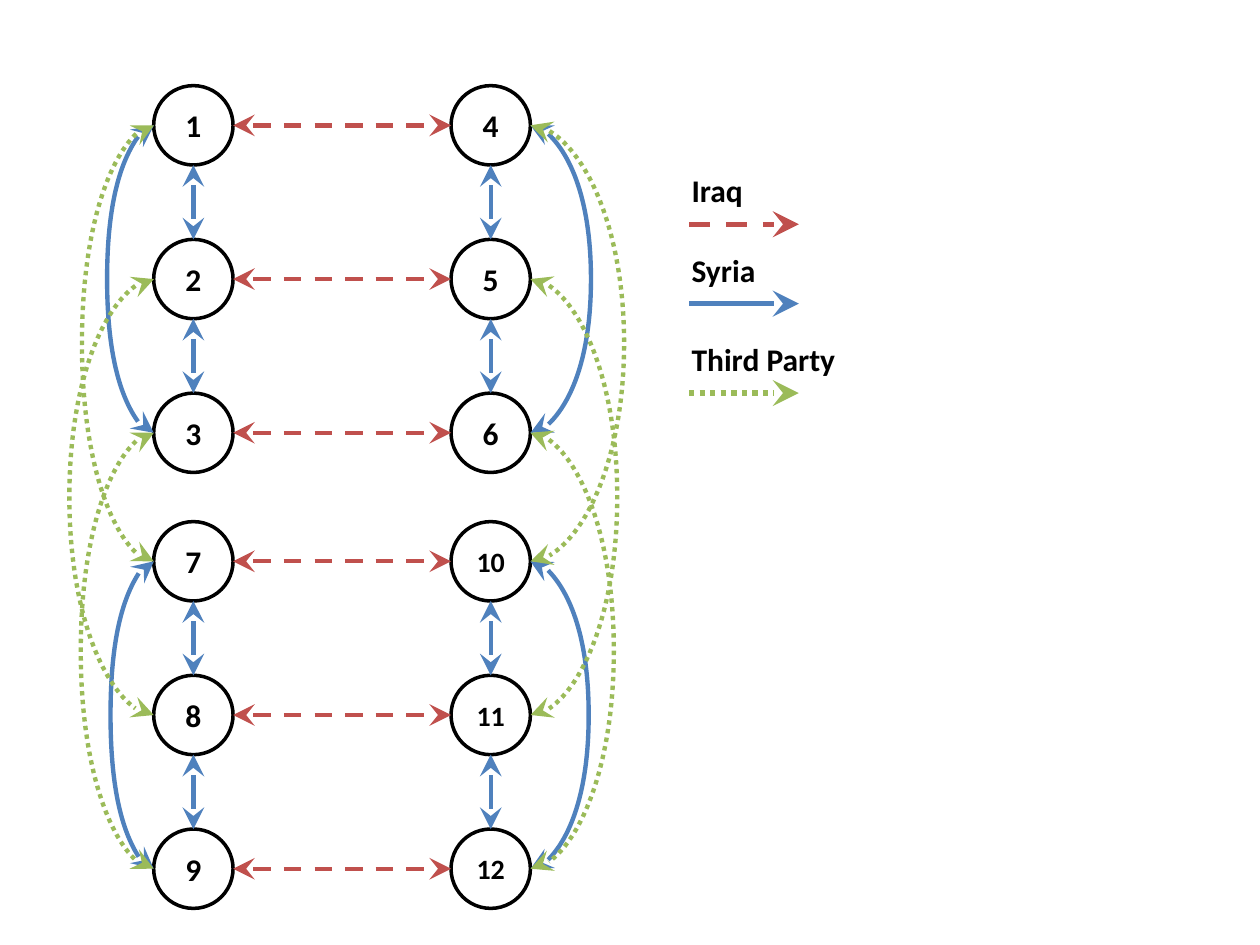
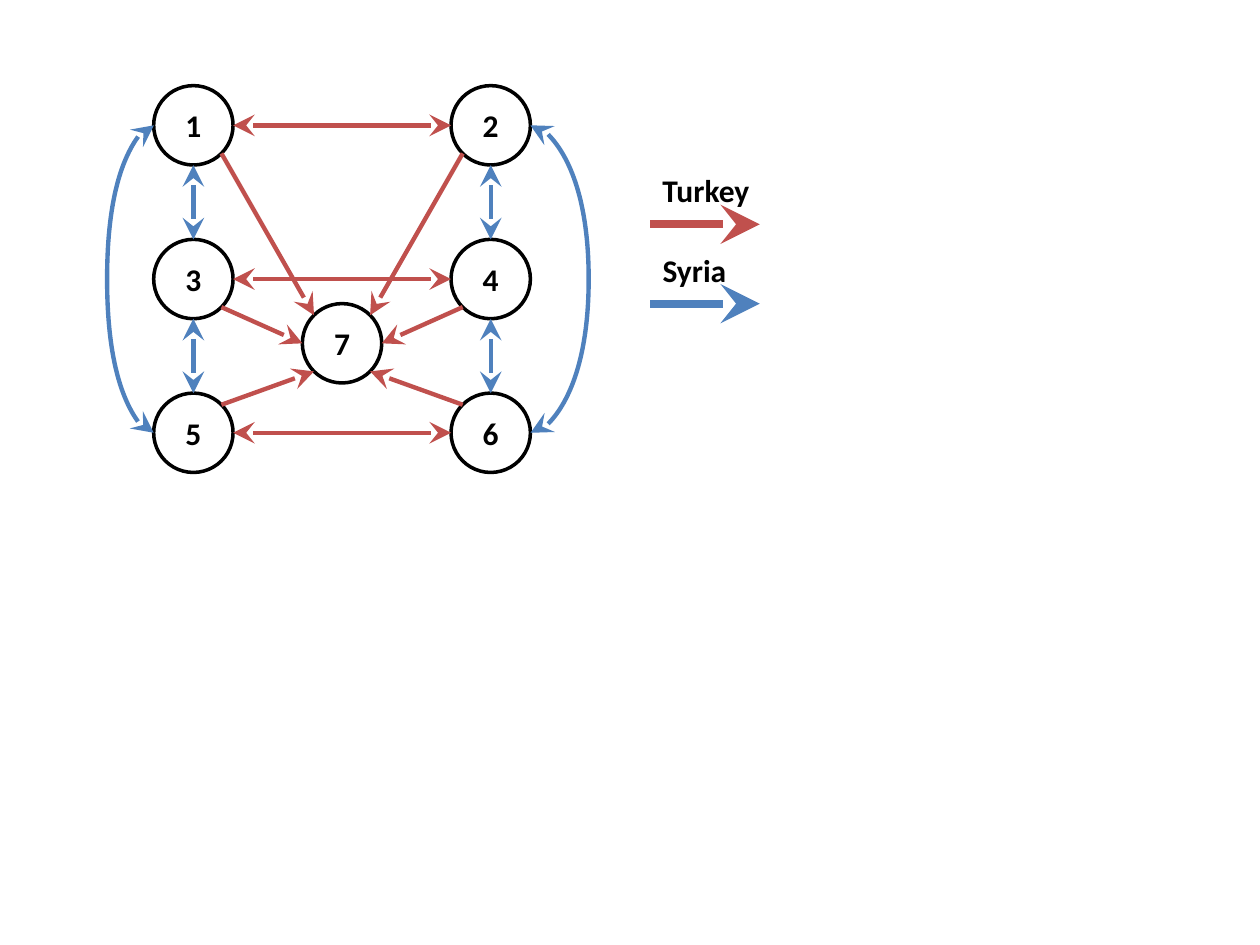
from lxml import etree
from pptx import Presentation
from pptx import util as u
from pptx.dml.color import RGBColor
from pptx.enum import dml, shapes, text
from pptx.oxml.ns import qn

BLACK, WHITE = "000000", "FFFFFF"
RED, BLUE, GREEN = "C0504D", "4F81BD", "9BBB59"
DASH, DOT = dml.MSO_LINE.DASH, dml.MSO_LINE.ROUND_DOT
STRAIGHT, CURVE = shapes.MSO_CONNECTOR.STRAIGHT, shapes.MSO_CONNECTOR.CURVE


def ink(code):
    return RGBColor.from_string(code)


def write(frame, words, size=18, color=BLACK, bold=True, align=None, anchor=None, wrap=True):
    frame.word_wrap = wrap
    frame.vertical_anchor = anchor
    paragraph = frame.paragraphs[0]
    paragraph.alignment = align
    run = paragraph.add_run()
    run.text = words
    run.font.name = "Calibri"
    run.font.size = u.Pt(size)
    run.font.bold = bold
    run.font.color.rgb = ink(color)


deck = Presentation()
deck.slide_width, deck.slide_height = u.Inches(10), u.Inches(7.5)
blank = deck.slide_layouts[6]

columns = [1.535, 3.895]
first_row, row_step, block_step = 0.995, 1.22, 3.46
node = 0.63
radius = node / 2
corner = radius * 0.5 ** 0.5
sides = [(columns[0] - radius, -1), (columns[1] + radius, 1)]
hair = u.Pt(0.125)

diagrams = [
    {
        "blocks": [[["1", "2", "3"], ["4", "5", "6"]], [["7", "8", "9"], ["10", "11", "12"]]],
        "block_bulges": [(0.41, 0.53), (0.38, 0.51)],
        "cross_bulges": [(0.63, 0.82), (0.74, 0.76), (0.64, 0.73)],
        "cross_dash": DASH,
        "hub": None,
        "key": [("Iraq", 0.61, 1.31, RED, DASH), ("Syria", 0.71, 1.94, BLUE, None),
                ("Third Party", 1.35, 2.65, GREEN, DOT)],
        "key_left": 5.39, "key_line": 5.47, "key_weight": 3,
    },
    {
        "blocks": [[["1", "3", "5"], ["2", "4", "6"]]],
        "block_bulges": [(0.41, 0.51)],
        "cross_bulges": [],
        "cross_dash": None,
        "hub": "7",
        "key": [("Turkey", 0.9, 1.31, RED, None), ("Syria", 0.71, 1.94, BLUE, None)],
        "key_left": 5.16, "key_line": 5.16, "key_weight": 4.5,
    },
]

for diagram in diagrams:
    slide = deck.slides.add_slide(blank)
    members, links = [], []

    for block, groups in enumerate(diagram["blocks"]):
        ys = [first_row + block * block_step + row * row_step for row in range(3)]
        for x, labels in zip(columns, groups):
            members += [(label, x, y) for label, y in zip(labels, ys)]
            for upper, lower in zip(ys, ys[1:]):
                links.append((x, upper + radius, x, lower - radius, 0, BLUE, None, 2.5, "both"))
        for (x, way), bulge in zip(sides, diagram["block_bulges"][block]):
            links.append((x, ys[0], x, ys[2], way * bulge, BLUE, None, 2.5, "both"))
        for y in ys:
            links.append((columns[0] + radius, y, columns[1] - radius, y, 0,
                          RED, diagram["cross_dash"], 2.5, "both"))

    for row, bulges in enumerate(diagram["cross_bulges"]):
        y = first_row + row * row_step
        for (x, way), bulge in zip(sides, bulges):
            links.append((x, y, x, y + block_step, way * bulge, GREEN, DOT, 2.5, "both"))

    if diagram["hub"]:
        hub_x, hub_y = sum(columns) / 2, 2.725
        members.append((diagram["hub"], hub_x, hub_y))
        spokes = [(corner, -corner, corner), (radius, 0, corner), (corner, corner, -corner)]
        for row, (reach, drop, exit_drop) in enumerate(spokes):
            for x, way in zip(columns, (-1, 1)):
                links.append((x - way * corner, first_row + row * row_step + exit_drop,
                              hub_x + way * reach, hub_y + drop, 0, RED, None, 2.5, "end"))

    for label, x, y in members:
        circle = slide.shapes.add_shape(
            shapes.MSO_SHAPE.OVAL, u.Inches(x - radius), u.Inches(y - radius),
            u.Inches(node), u.Inches(node))
        circle.shadow.inherit = False
        circle.fill.solid()
        circle.fill.fore_color.rgb = ink(WHITE)
        circle.line.color.rgb = ink(BLACK)
        circle.line.width = u.Pt(2)
        write(circle.text_frame, label, size=18 if len(label) == 1 else 16,
              align=text.PP_ALIGN.CENTER, anchor=text.MSO_ANCHOR.MIDDLE)

    for label, width, top, color, dash in diagram["key"]:
        caption = slide.shapes.add_textbox(
            u.Inches(diagram["key_left"]), u.Inches(top), u.Inches(width), u.Inches(0.4))
        write(caption.text_frame, label, wrap=False)
        caption.text_frame.auto_size = text.MSO_AUTO_SIZE.SHAPE_TO_FIT_TEXT
        start = diagram["key_line"]
        links.append((start, top + 0.47, start + 0.87, top + 0.47, 0,
                      color, dash, diagram["key_weight"], "end"))

    for x1, y1, x2, y2, bulge, color, dash, weight, heads in links:
        link = slide.shapes.add_connector(
            CURVE if bulge else STRAIGHT, u.Inches(x1), u.Inches(y1),
            u.Inches(x2) + (hair if bulge else 0), u.Inches(y2))
        link.line.color.rgb = ink(color)
        link.line.width = u.Pt(weight)
        if dash:
            link.line.dash_style = dash
        props = link.element.spPr
        outline = props.find(qn("a:ln"))
        for end in ("headEnd", "tailEnd") if heads == "both" else ("tailEnd",):
            etree.SubElement(outline, qn("a:" + end), type="stealth", w="lg", len="lg")
        etree.SubElement(props, qn("a:effectLst"))
        if bulge:
            guides = props.find(qn("a:prstGeom")).find(qn("a:avLst"))
            depth = round(u.Inches(abs(bulge)) / hair * 100000)
            etree.SubElement(guides, qn("a:gd"), name="adj1", fmla=f"val {depth}")
        if bulge < 0:
            frame = props.find(qn("a:xfrm"))
            frame.set("rot", "10800000")
            frame.set("flipV", "1")

deck.save("out.pptx")
